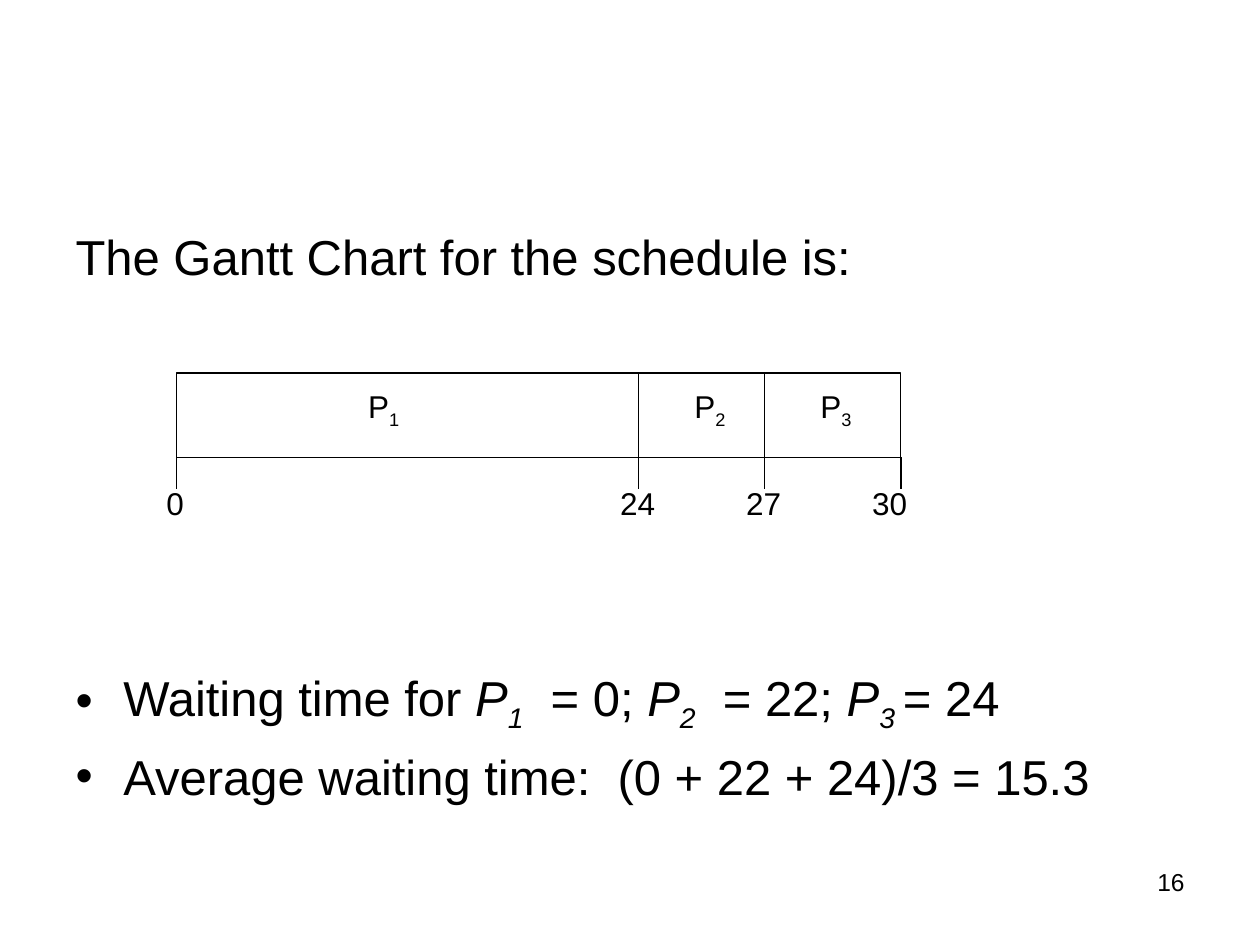
from lxml import etree
from pptx import Presentation
from pptx.dml.color import RGBColor
from pptx.enum.shapes import MSO_CONNECTOR, MSO_SHAPE
from pptx.enum.text import MSO_ANCHOR, MSO_AUTO_SIZE, PP_ALIGN
from pptx.oxml.ns import qn
from pptx.util import Inches, Pt

RECTANGLE = MSO_SHAPE.RECTANGLE
STRAIGHT = MSO_CONNECTOR.STRAIGHT
TOP, MIDDLE = MSO_ANCHOR.TOP, MSO_ANCHOR.MIDDLE
NO_AUTOFIT = MSO_AUTO_SIZE.NONE
LEFT, CENTER, RIGHT = PP_ALIGN.LEFT, PP_ALIGN.CENTER, PP_ALIGN.RIGHT

FONT, BLACK, WHITE = "Arial", "000000", "FFFFFF"
BAR_TOP, BAR_BOTTOM, TICK_BOTTOM = 2.96, 3.63, 3.88
# Time, position on the axis, centre of its label
TIMES = [("0", 1.4, 1.39), ("24", 5.07, 5.06), ("27", 6.07, 6.06), ("30", 7.15, 7.06)]
# Process number, centre of its label
PROCESSES = [("1", 3.05), ("2", 5.64), ("3", 6.64)]

HEADING = [("The Gantt Chart for the schedule is:", "")]
WAITING_TIMES = [
    ("Waiting time for ", ""),
    ("P", "i"), ("1", "is"), ("  = 0; ", ""),
    ("P", "i"), ("2", "is"), ("  = 22; ", ""),
    ("P", "i"), ("3 ", "is"), ("= 24", ""),
]
AVERAGE = [("Average waiting time:  (0 + 22 + 24)/3 = 15.3", "")]


def rgb(value):
    return RGBColor.from_string(value)


def apply_format(target, values):
    for name, value in values.items():
        setattr(target, name, value)


def write_runs(paragraph, runs, size):
    """Add (text, style) runs; style holds i for italic and s for subscript."""
    for text, style in runs:
        run = paragraph.add_run()
        run.text = text
        apply_format(run.font, {"name": FONT, "size": Pt(size), "italic": "i" in style})
        run.font.color.rgb = rgb(BLACK)
        if "s" in style:
            run.font._element.set("baseline", "-25000")


def set_bullet(paragraph, bulleted):
    properties = paragraph._p.get_or_add_pPr()
    properties.set("marL", str(Inches(0.38)))
    properties.set("indent", str(Inches(-0.38)))
    if bulleted:
        etree.SubElement(properties, qn("a:buChar")).set("char", "•")
    else:
        etree.SubElement(properties, qn("a:buNone"))


def add_label(shapes, runs, box, size, align=CENTER, anchor=MIDDLE, wrap=False):
    label = shapes.add_textbox(*map(Inches, box))
    apply_format(label.text_frame, {"word_wrap": wrap, "vertical_anchor": anchor})
    paragraph = label.text_frame.paragraphs[0]
    paragraph.alignment = align
    write_runs(paragraph, runs, size)


def add_vertical(shapes, x, top, bottom):
    line = shapes.add_connector(STRAIGHT, Inches(x), Inches(top), Inches(x), Inches(bottom))
    line.line.color.rgb = rgb(BLACK)
    line.line.width = Pt(0.75)
    etree.SubElement(line._element.spPr, qn("a:effectLst"))


def fill_body(body):
    apply_format(body, {"left": Inches(0.5), "top": Inches(1.75),
                        "width": Inches(9), "height": Inches(4.95)})
    frame = body.text_frame
    apply_format(frame, {"word_wrap": True, "auto_size": NO_AUTOFIT, "vertical_anchor": TOP})
    # The wide space before the first bullet leaves room for the chart
    content = [(HEADING, 7, False), (WAITING_TIMES, 218, True), (AVERAGE, 7, True)]
    for index, (runs, space, bulleted) in enumerate(content):
        paragraph = frame.add_paragraph() if index else frame.paragraphs[0]
        apply_format(paragraph, {"alignment": LEFT, "space_before": Pt(space)})
        set_bullet(paragraph, bulleted)
        write_runs(paragraph, runs, 28)


def add_gantt_chart(slide):
    shapes = slide.shapes.add_group_shape().shapes
    start, end = TIMES[0][1], TIMES[-1][1]
    bar = shapes.add_shape(RECTANGLE, Inches(start), Inches(BAR_TOP),
                           Inches(end - start), Inches(BAR_BOTTOM - BAR_TOP))
    bar.shadow.inherit = False
    bar.fill.solid()
    bar.fill.fore_color.rgb = rgb(WHITE)
    bar.line.color.rgb = rgb(BLACK)
    bar.line.width = Pt(0.75)

    for number, center in PROCESSES:
        add_label(shapes, [("P", ""), (number, "s")], (center - 0.23, 3.02, 0.45, 0.44), 18)
    for _, x, _ in TIMES[1:-1]:
        add_vertical(shapes, x, BAR_TOP, BAR_BOTTOM)
    for time, x, center in TIMES:
        add_vertical(shapes, x, BAR_BOTTOM, TICK_BOTTOM)
        width = 0.34 if len(time) == 1 else 0.48
        add_label(shapes, [(time, "")], (center - width / 2, 3.79, width, 0.4), 18)


def main():
    presentation = Presentation()
    presentation.slide_width = Inches(10)
    presentation.slide_height = Inches(7.5)
    slide = presentation.slides.add_slide(presentation.slide_layouts[1])
    title = slide.shapes.title._element
    title.getparent().remove(title)

    add_label(slide.shapes, [("16", "")], (7.17, 6.83, 2.33, 0.52), 14, RIGHT, TOP, True)
    fill_body(slide.placeholders[1])
    add_gantt_chart(slide)
    presentation.save("out.pptx")


if __name__ == "__main__":
    main()
